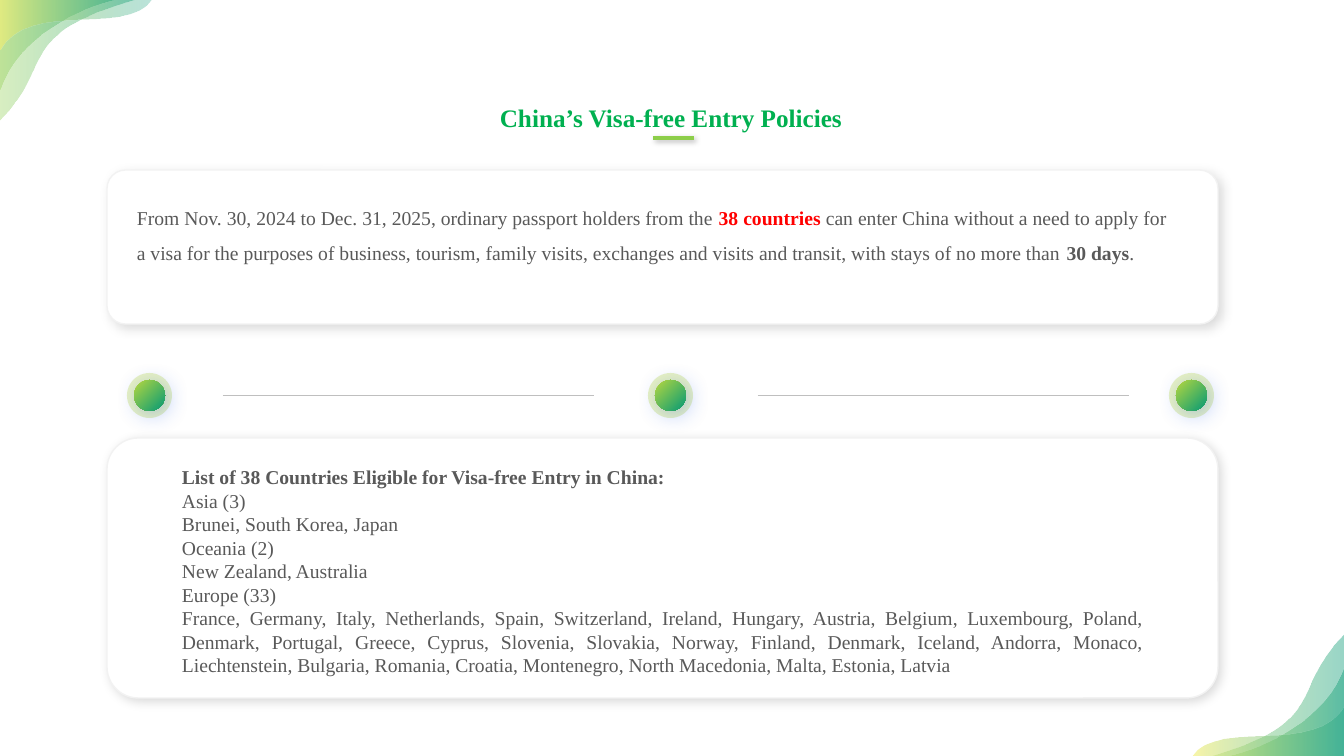
from lxml.etree import SubElement
from pptx import Presentation
from pptx.dml.color import RGBColor
from pptx.enum.shapes import MSO_CONNECTOR, MSO_SHAPE
from pptx.enum.text import MSO_ANCHOR, MSO_AUTO_SIZE, PP_ALIGN
from pptx.oxml.ns import qn
from pptx.util import Emu, Pt

SCALE = 914400 / 100.8
WIDTH, HEIGHT = 1344, 756
FONT = "Times New Roman"
COLORS = {
    "white": "FFFFFF", "border": "F2F2F2", "rule": "BFBFBF", "text": "595959",
    "title": "00B050", "accent": "8DCE4A", "red": "FF0000", "lime": "B7D840",
    "teal": "059A76", "yellow": "F5F074", "black": "000000", "blue": "346BE8",
}
# Shadows: colour, opacity %, blur, distance (points); all fall at 45 degrees
CARD_SHADOW = ("black", 15, 8, 3)
DOT_SHADOW = ("blue", 40, 16, 3)
UNDERLINE_SHADOW = ("black", 25, 4, 2)


def px(value):
    return Emu(round(value * SCALE))


def rgb(name):
    return RGBColor.from_string(COLORS[name])


class SlideBuilder:
    def __init__(self, presentation):
        self.slide = presentation.slides.add_slide(presentation.slide_layouts[5])
        self.shapes = self.slide.shapes

    def alpha(self, fill_xml, opacities):
        for color, opacity in zip(fill_xml.iter(qn("a:srgbClr")), opacities):
            SubElement(color, qn("a:alpha"), val=str(opacity * 1000))

    def effects(self, shape, shadow=None):
        effects = SubElement(shape.element.spPr, qn("a:effectLst"))
        if shadow:
            name, opacity, blur, distance = shadow
            outer = SubElement(effects, qn("a:outerShdw"), blurRad=str(Pt(blur)),
                               dist=str(Pt(distance)), dir="2700000",
                               algn="tl", rotWithShape="0")
            SubElement(outer, qn("a:srgbClr"), val=COLORS[name])
            self.alpha(outer, [opacity])

    def paint(self, shape, fill, opacities=(), border=None, shadow=None, angle=0):
        """Fill is one colour name, or two names for a gradient."""
        if isinstance(fill, str):
            shape.fill.solid()
            shape.fill.fore_color.rgb = rgb(fill)
        else:
            shape.fill.gradient()
            shape.fill.gradient_angle = angle
            for stop, name in zip(shape.fill.gradient_stops, fill):
                stop.color.rgb = rgb(name)
        self.alpha(shape.element.spPr, opacities)
        if border:
            shape.line.color.rgb = rgb(border)
            shape.line.width = Pt(1)
        else:
            shape.line.fill.background()
        self.effects(shape, shadow)

    def shape(self, kind, box, fill, **style):
        shape = self.shapes.add_shape(kind, *map(px, box))
        self.paint(shape, fill, **style)
        return shape

    def card(self, box):
        card = self.shape(MSO_SHAPE.ROUNDED_RECTANGLE, box, "white",
                          border="border", shadow=CARD_SHADOW)
        card.adjustments[0] = 0.12

    def wave(self, points, fill, opacities):
        """Area between a Bezier curve and the slide corner, the last point."""
        start, *curve, corner = [tuple(map(px, point)) for point in points]
        builder = self.shapes.build_freeform(*start)
        builder.add_line_segments([curve[-1], corner], close=True)
        wave = builder.convert_to_shape()
        # The first straight segment becomes the curve
        straight = next(wave.element.spPr.iter(qn("a:lnTo")))
        outline = straight.getparent()
        bezier = SubElement(outline, qn("a:cubicBezTo"))
        for x, y in curve:
            SubElement(bezier, qn("a:pt"), x=str(x - wave.left), y=str(y - wave.top))
        outline.replace(straight, bezier)
        self.paint(wave, fill, opacities)

    def line(self, left, right, y, color, width, shadow=None):
        line = self.shapes.add_connector(MSO_CONNECTOR.STRAIGHT,
                                         px(left), px(y), px(right), px(y))
        line.line.color.rgb = rgb(color)
        line.line.width = Pt(width)
        self.effects(line, shadow)

    def run(self, paragraph, text, size, color="text", bold=False):
        run = paragraph.add_run()
        run.text = text
        font = run.font
        font.name, font.size, font.bold = FONT, Pt(size), bold
        font.color.rgb = rgb(color)

    def title(self, box, text):
        title = self.shapes.title
        title.left, title.top, title.width, title.height = map(px, box)
        frame = title.text_frame
        frame.auto_size, frame.word_wrap = MSO_AUTO_SIZE.NONE, True
        frame.margin_left = frame.margin_right = 0
        frame.vertical_anchor = MSO_ANCHOR.MIDDLE
        frame.paragraphs[0].alignment = PP_ALIGN.CENTER
        self.run(frame.paragraphs[0], text, 18, "title", True)

    def text(self, box, paragraphs, spacing=1.0):
        frame = self.shapes.add_textbox(*map(px, box)).text_frame
        frame.word_wrap = True
        for index, runs in enumerate(paragraphs):
            paragraph = frame.add_paragraph() if index else frame.paragraphs[0]
            paragraph.alignment = PP_ALIGN.JUSTIFY
            paragraph.line_spacing = spacing
            for text, *style in runs:
                self.run(paragraph, text, 14, *style)


presentation = Presentation()
presentation.slide_width, presentation.slide_height = px(WIDTH), px(HEIGHT)
page = SlideBuilder(presentation)

# Corner waves: Bezier points measured from the corner, then fill and opacity
WAVES = [
    ([(135, 0), (12, 36), (57, 64), (0, 121)], ("accent", "teal"), (34, 41)),
    ([(116, 0), (79, 8), (17, 38), (0, 90)], ("accent", "teal"), (34, 41)),
    ([(151, 0), (126, 38), (29, -1), (0, 50)], ("yellow", "teal"), (62, 27)),
]
for corner_x, corner_y, direction in ((WIDTH, HEIGHT, -1), (0, 0, 1)):
    for curve, fill, opacities in WAVES:
        points = [(corner_x + direction * x, corner_y + direction * y)
                  for x, y in curve + [(0, 0)]]
        page.wave(points, fill, opacities)

# Heading
page.title((490, 97, 362, 40), "China’s Visa-free Entry Policies")
page.line(653, 694, 138, "accent", 3, UNDERLINE_SHADOW)

# Policy summary
page.card((107, 170, 1111, 154))
page.text((127, 189, 1050, 117), [[
    ("From Nov. 30, 2024 to Dec. 31, 2025, ordinary passport holders from the ",),
    ("38 countries ", "red", True),
    ("can enter China without a need to apply for a visa for the purposes of "
     "business, tourism, family visits, exchanges and visits and transit, "
     "with stays of no more than ",),
    ("30 days", "text", True),
    (".",),
]], spacing=1.5)

# Divider of dots and rules
for rule_left in (223, 758):
    page.line(rule_left, rule_left + 371, 395, "rule", 0.5)
for index in range(3):
    dot_left = 127 + index * 521
    page.shape(MSO_SHAPE.OVAL, (dot_left, 373, 45, 45), "lime", opacities=[31])
    page.shape(MSO_SHAPE.OVAL, (dot_left + 7, 380, 31, 31), ("lime", "teal"),
               angle=315, shadow=DOT_SHADOW)

# Country list
page.card((107, 438, 1111, 260))
REGIONS = [
    ("Asia (3)", "Brunei, South Korea, Japan"),
    ("Oceania (2)", "New Zealand, Australia"),
    ("Europe (33)",
     "France, Germany, Italy, Netherlands, Spain, Switzerland, Ireland, Hungary, "
     "Austria, Belgium, Luxembourg, Poland, Denmark, Portugal, Greece, Cyprus, "
     "Slovenia, Slovakia, Norway, Finland, Denmark, Iceland, Andorra, Monaco, "
     "Liechtenstein, Bulgaria, Romania, Croatia, Montenegro, North Macedonia, "
     "Malta, Estonia, Latvia"),
]
list_heading = ("List of 38 Countries Eligible for Visa-free Entry in China:", "text", True)
page.text((172, 460, 982, 224),
          [[list_heading]] + [[(entry,)] for region in REGIONS for entry in region])

presentation.save("out.pptx")
